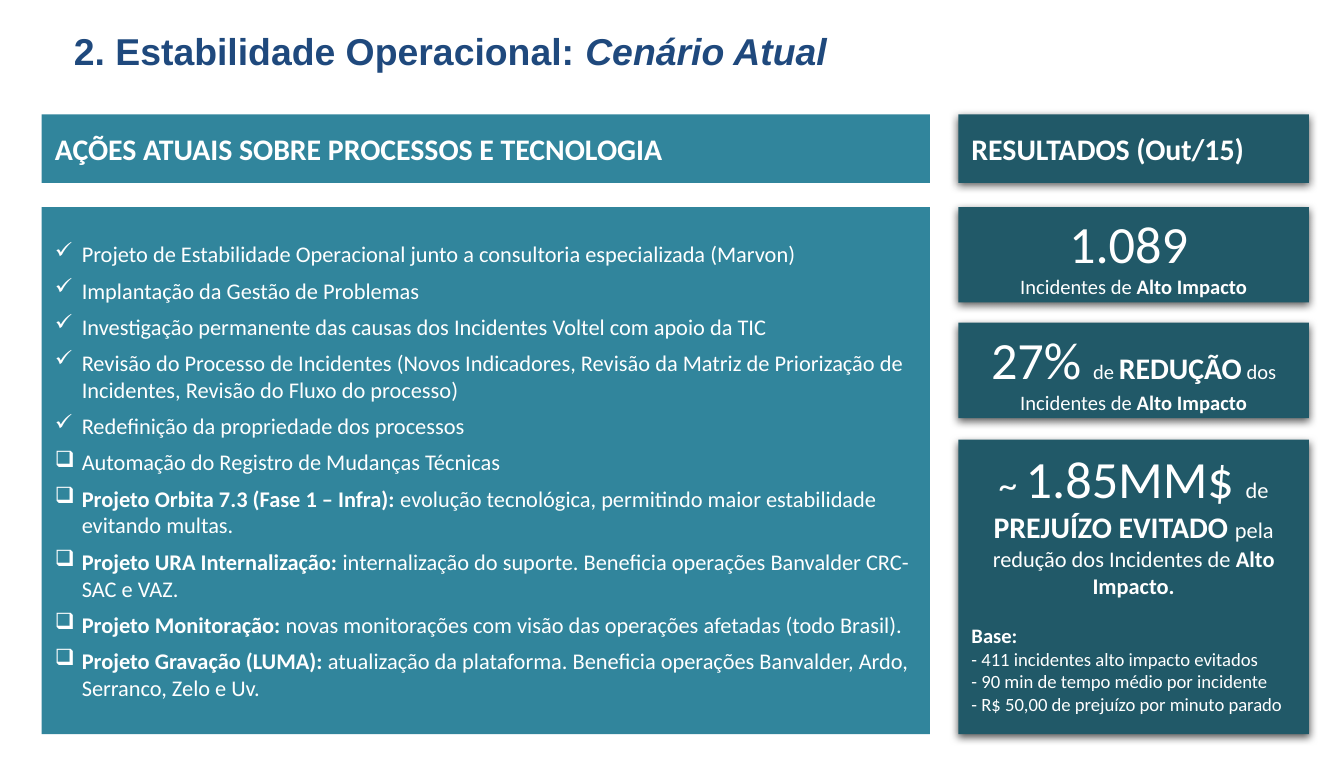
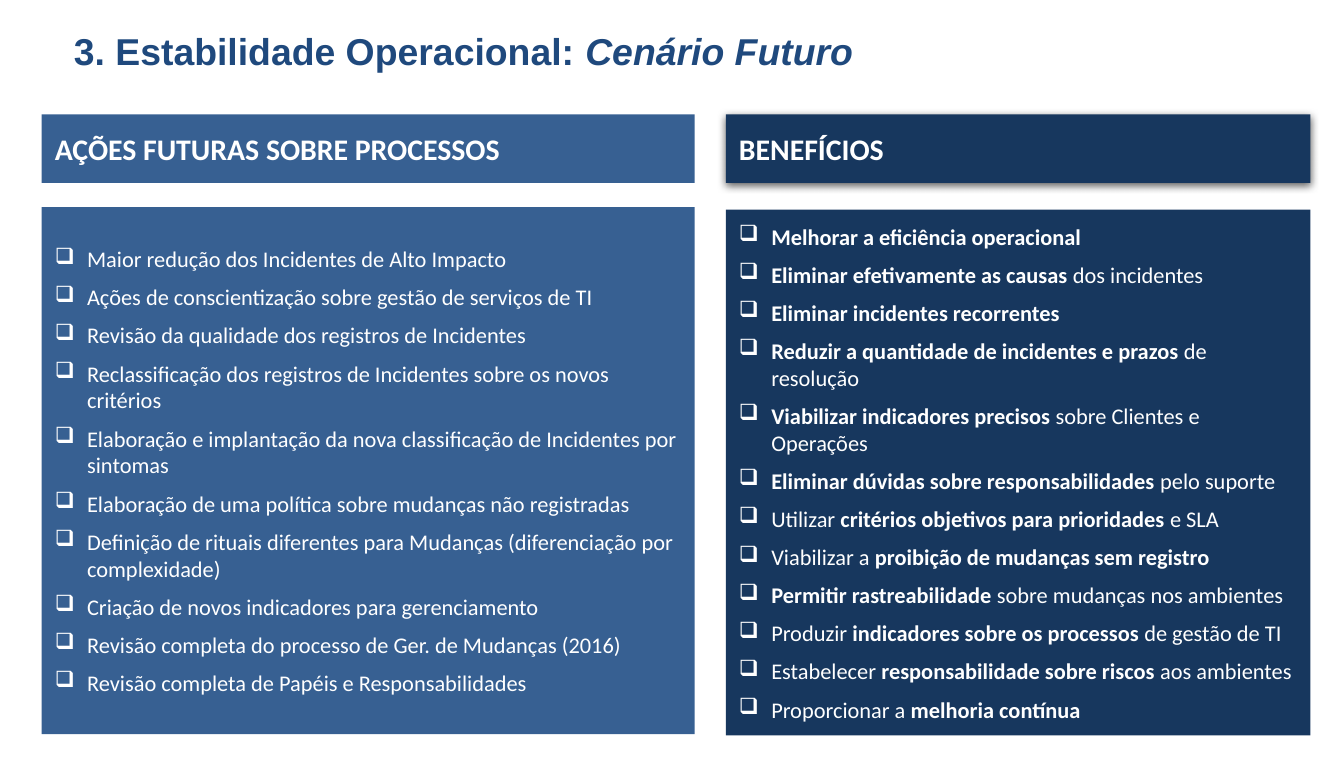
import lxml.etree
import pptx
import pptx.dml.color
import pptx.enum.shapes
import pptx.enum.text
import pptx.oxml.ns
import pptx.util

PX = 9144
WIDE, HIGH = 1000, 563
LEFT, TOP, HEAD = 31, 85, 51
BODY, BASE = 154, 546
TEAL, PINE = "31859C", "215968"
BLUE, NAVY = "376092", "17375E"
INK, WHITE = "1F497D", "FFFFFF"
TICK, BOX = "✓", "❑"
MID = pptx.enum.text.MSO_ANCHOR.MIDDLE
CENTER = pptx.enum.text.PP_ALIGN.CENTER

DONE = [
    "Projeto de Estabilidade Operacional junto a consultoria especializada (Marvon)",
    "Implantação da Gestão de Problemas",
    "Investigação permanente das causas dos Incidentes Voltel com apoio da TIC",
    "Revisão do Processo de Incidentes (Novos Indicadores, Revisão da Matriz de "
    "Priorização de Incidentes, Revisão do Fluxo do processo)",
    "Redefinição da propriedade dos processos",
]
OPEN = [
    "Automação do Registro de Mudanças Técnicas",
    "*Projeto Orbita 7.3 (Fase 1 – Infra):* evolução tecnológica, permitindo maior "
    "estabilidade evitando multas.",
    "*Projeto URA Internalização:* internalização do suporte. Beneficia operações "
    "Banvalder CRC-SAC e VAZ.",
    "*Projeto Monitoração: *novas monitorações com visão das operações afetadas "
    "(todo Brasil).",
    "*Projeto Gravação (LUMA):* atualização da plataforma. Beneficia operações "
    "Banvalder, Ardo, Serranco, Zelo e Uv.",
]
PLANS = [
    "Maior redução dos Incidentes de Alto Impacto",
    "Ações de conscientização sobre gestão de serviços de TI",
    "Revisão da qualidade dos registros de Incidentes",
    "Reclassificação dos registros de Incidentes sobre os novos critérios",
    "Elaboração e implantação da nova classificação de Incidentes por sintomas",
    "Elaboração de uma política sobre mudanças não registradas",
    "Definição de rituais diferentes para Mudanças (diferenciação por complexidade)",
    "Criação de novos indicadores para gerenciamento",
    "Revisão completa do processo de Ger. de Mudanças (2016)",
    "Revisão completa de Papéis e Responsabilidades",
]
GAINS = [
    "*Melhorar a eficiência operacional*",
    "*Eliminar efetivamente as causas *dos incidentes",
    "*Eliminar incidentes recorrentes*",
    "*Reduzir a quantidade de incidentes e prazos *de resolução",
    "*Viabilizar indicadores precisos *sobre Clientes e Operações",
    "*Eliminar dúvidas sobre responsabilidades *pelo suporte",
    "Utilizar *critérios objetivos para prioridades* e SLA",
    "Viabilizar a *proibição de mudanças sem registro*",
    "*Permitir rastreabilidade *sobre mudanças nos ambientes",
    "Produzir *indicadores sobre os processos *de gestão de TI",
    "Estabelecer *responsabilidade sobre riscos *aos ambientes",
    "Proporcionar a *melhoria contínua*",
]


def paint(code):
    """Turn a hex string into a colour."""
    return pptx.dml.color.RGBColor.from_string(code)


def scale(box):
    """Turn a box in px into EMU."""
    return [pptx.util.Emu(side * PX) for side in box]


def node(parent, tag, **attrs):
    """Add a drawing element with its attributes."""
    return lxml.etree.SubElement(parent, pptx.oxml.ns.qn(tag), attrs)


def style(run, size=12, bold=False, italic=False, color=WHITE, face="Calibri"):
    """Set the font of a run."""
    font = run.font
    font.name, font.size = face, pptx.util.Pt(size)
    font.bold, font.italic = bold, italic
    font.color.rgb = paint(color)


def text(frame, lines, align=None, before=0, after=0, mark=None, indent=0, **look):
    """Append lines, where stars enclose bold and a line may list (words, format) runs."""
    for place, line in enumerate(lines):
        para = frame.paragraphs[0]
        if para.runs:
            para = frame.add_paragraph()
        if mark:
            props = para._p.get_or_add_pPr()
            props.set("marL", str(indent * PX))
            props.set("indent", str(-indent * PX))
            node(props, "a:buChar", char=mark)
        para.alignment = align or pptx.enum.text.PP_ALIGN.LEFT
        para.space_before = pptx.util.Pt(0 if place else before)
        para.space_after = pptx.util.Pt(after)
        for words, extra in [(line, {})] if isinstance(line, str) else line:
            for turn, part in enumerate(words.split("*")):
                if part:
                    run = para.add_run()
                    run.text = part
                    form = {**look, **extra}
                    form["bold"] = turn % 2 == 1 or form.get("bold", False)
                    style(run, **form)


def panel(slide, box, color, shade=False):
    """Draw a filled panel and return its text frame."""
    shape = slide.shapes.add_shape(
        pptx.enum.shapes.MSO_SHAPE.RECTANGLE, *scale(box))
    shape.fill.solid()
    shape.fill.fore_color.rgb = paint(color)
    shape.line.fill.background()
    shape.shadow.inherit = False
    if shade:
        effect = shape._element.spPr.find(pptx.oxml.ns.qn("a:effectLst"))
        cast = node(effect, "a:outerShdw", blurRad="57150", dist="19050",
                    dir="5400000", algn="ctr", rotWithShape="0")
        tint = node(cast, "a:srgbClr", val="000000")
        node(tint, "a:alpha", val="63000")
    frame = shape.text_frame
    frame.word_wrap = True
    frame.vertical_anchor = MID
    return frame


def title(slide, box, lead, tail):
    """Place the slide title with its italic ending."""
    frame = slide.shapes.add_textbox(*scale(box)).text_frame
    frame.word_wrap = True
    frame.vertical_anchor = MID
    frame.margin_left = frame.margin_right = 0
    frame.margin_top = frame.margin_bottom = 0
    text(frame, [[(lead, {}), (tail, {"italic": True})]],
         size=20, bold=True, color=INK, face="Arial")


def header(slide, left, width, words, color, shade=False):
    """Draw the heading band of a column."""
    frame = panel(slide, (left, TOP, width, HEAD), color, shade)
    text(frame, [words], size=16, bold=True)


def bullets(slide, box, color, groups, indent, after):
    """Fill a panel with groups of marked lines."""
    frame = panel(slide, box, color)
    for mark, lines in groups:
        text(frame, lines, mark=mark, indent=indent, after=after)


def results(slide, left, width):
    """Stack the three result cards."""
    big, mid, body = {"size": 28}, {"size": 16, "bold": True}, {"size": 12}
    count = [[("1.089", big), (" ", {"size": 24})], "Incidentes de *Alto Impacto*"]
    drop = [[("27% ", big), ("de ", {}), ("REDUÇÃO", mid),
             (" dos Incidentes de *Alto Impacto*", {})]]
    for place, lines in enumerate((count, drop)):
        frame = panel(slide, (left, BODY + 86 * place, width, 71), PINE, True)
        text(frame, lines, align=CENTER, size=11)
    top = BODY + 173
    frame = panel(slide, (left, top, width, BASE - top), PINE, True)
    frame.vertical_anchor = pptx.enum.text.MSO_ANCHOR.TOP
    saved = [("~ ", {"size": 20}), ("1.85MM$ ", big), ("de", body), (" ", {}),
             ("PREJUÍZO EVITADO ", mid), ("pela", body), (" ", {}),
             ("redução dos Incidentes de *Alto Impacto.*", body)]
    text(frame, [saved], align=CENTER, size=11)
    text(frame, ["Base:"], before=13, size=11, bold=True)
    text(frame, ["- 411 incidentes alto impacto evitados",
                 "- 90 min de tempo médio por incidente",
                 "- R$ 50,00 de prejuízo por minuto parado"], size=10)


def present(slide):
    """Build the slide on the current scenario."""
    title(slide, (55, 9, 677, 57), "2. Estabilidade Operacional: ", "Cenário Atual")
    header(slide, LEFT, 661, "AÇÕES ATUAIS SOBRE PROCESSOS E TECNOLOGIA", TEAL)
    bullets(slide, (LEFT, BODY, 661, BASE - BODY), TEAL,
            [(TICK, DONE), (BOX, OPEN)], 20, 5)
    header(slide, 713, 261, "RESULTADOS (Out/15)", PINE, True)
    results(slide, 713, 261)


def future(slide):
    """Build the slide on the future scenario."""
    title(slide, (55, 9, 677, 57), "3. Estabilidade Operacional: ", "Cenário Futuro")
    header(slide, LEFT, 486, "AÇÕES FUTURAS SOBRE PROCESSOS", BLUE)
    bullets(slide, (LEFT, BODY, 486, BASE - BODY), BLUE, [(BOX, PLANS)], 24, 6)
    header(slide, 540, 435, "BENEFÍCIOS", NAVY, True)
    bullets(slide, (540, BODY + 2, 435, BASE - BODY - 1), NAVY, [(BOX, GAINS)], 24, 6)


def main():
    """Build and save the deck."""
    deck = pptx.Presentation()
    deck.slide_width, deck.slide_height = scale((WIDE, HIGH))
    for build in (present, future):
        build(deck.slides.add_slide(deck.slide_layouts[6]))
    deck.save("out.pptx")


if __name__ == "__main__":
    main()
